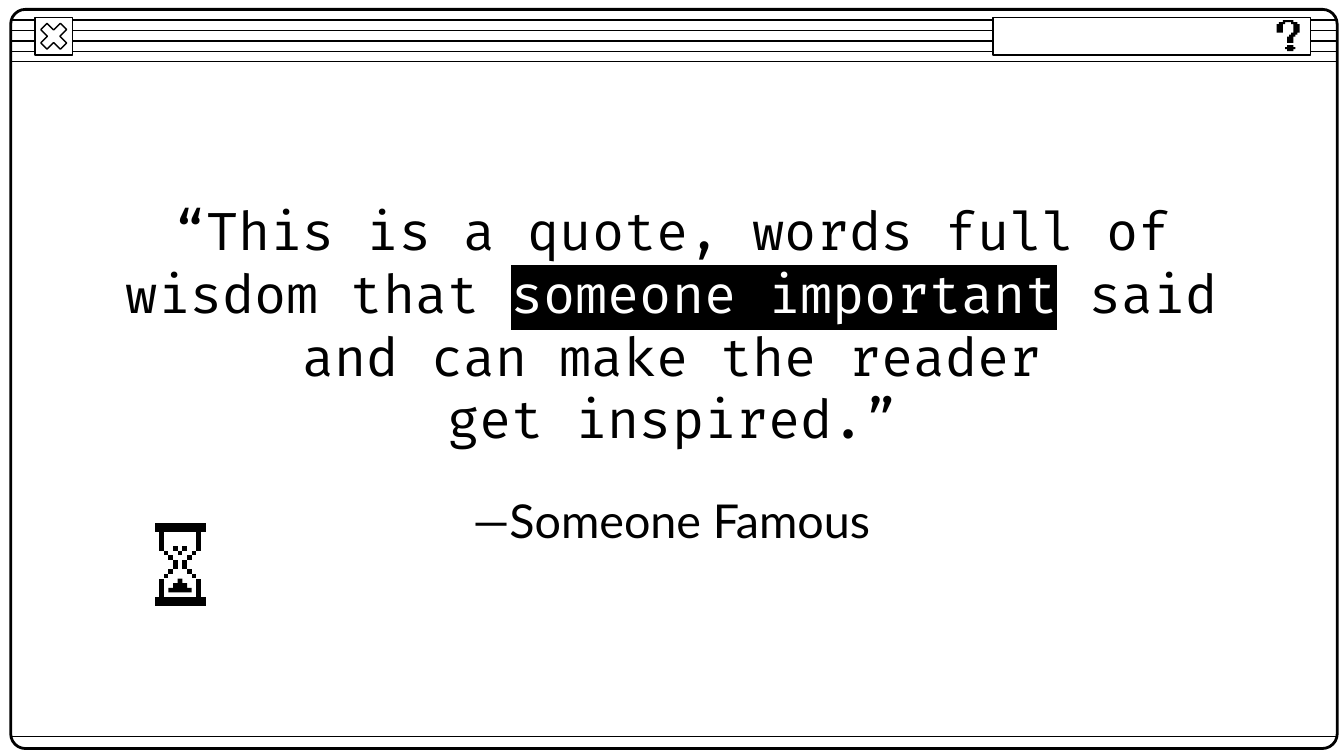
from lxml import etree
from pptx import Presentation
from pptx.dml.color import RGBColor
from pptx.enum import shapes, text
from pptx.oxml import ns
from pptx.util import Inches, Pt

BLACK = RGBColor(0, 0, 0)
WHITE = RGBColor(255, 255, 255)

deck = Presentation()
deck.slide_width, deck.slide_height = Inches(10), Inches(10 * 9 / 16)
page = deck.slides.add_slide(deck.slide_layouts[0])


def add_box(kind, left, top, width, height, line_width=0.75):
    box = page.shapes.add_shape(
        kind, Inches(left), Inches(top), Inches(width), Inches(height))
    box.shadow.inherit = False
    box.fill.solid()
    box.fill.fore_color.rgb = WHITE
    box.line.color.rgb = BLACK
    box.line.width = Pt(line_width)
    return box


def add_pixels(corners, left, top, cell, color=BLACK):
    """Fill the outline whose corners are (column, row) on a grid of square cells."""
    points = [(Inches(left + column * cell), Inches(top + row * cell))
              for column, row in corners]
    builder = page.shapes.build_freeform(*points[0])
    builder.add_line_segments(points[1:], close=True)
    outline = builder.convert_to_shape()
    outline.shadow.inherit = False
    outline.fill.solid()
    outline.fill.fore_color.rgb = color
    outline.line.fill.background()


# Window frame with title bar stripes and a bottom rule
frame = add_box(shapes.MSO_SHAPE.ROUNDED_RECTANGLE, 0.08, 0.07, 9.87, 5.5, 1.5)
frame.adjustments[0] = 0.02
frame.fill.background()

stripes = [0.15 + 0.31 * step / 4 for step in range(5)]
for y in stripes + [5.48]:
    rule = page.shapes.add_connector(
        shapes.MSO_CONNECTOR.STRAIGHT, Inches(0.08), Inches(y), Inches(9.95), Inches(y))
    rule.line.color.rgb = BLACK
    rule.line.width = Pt(0.75)
    etree.SubElement(rule._element.spPr, ns.qn("a:effectLst"))

# Title bar buttons
add_box(shapes.MSO_SHAPE.RECTANGLE, 0.26, 0.13, 0.28, 0.28)
cross = add_box(shapes.MSO_SHAPE.MATH_MULTIPLY, 0.26, 0.13, 0.28, 0.28)
cross.adjustments[0] = 0.235
add_box(shapes.MSO_SHAPE.RECTANGLE, 7.39, 0.13, 2.36, 0.28)

question_hook = [
    (3, 0), (3, 1), (1, 1), (1, 2), (0, 2), (0, 6), (3, 6), (3, 2), (4, 2), (4, 1),
    (7, 1), (7, 2), (8, 2), (8, 6), (7, 6), (7, 7), (6, 7), (6, 8), (5, 8), (5, 11),
    (8, 11), (8, 8), (9, 8), (9, 7), (10, 7), (10, 6), (11, 6), (11, 2), (10, 2),
    (10, 1), (8, 1), (8, 0)]
question_dot = [
    (5, 12), (5, 13), (4, 13), (4, 14), (5, 14), (5, 15),
    (8, 15), (8, 14), (9, 14), (9, 13), (8, 13), (8, 12)]
for corners in (question_hook, question_dot):
    add_pixels(corners, 9.5, 0.15, 0.17 / 11)

# Attribution and quote
attribution = page.shapes.title
attribution.text_frame.text = "—Someone Famous"
quote = page.placeholders[1]
quote.text_frame.text = "“This is a quote, words full of wisdom that "
opening = quote.text_frame.paragraphs[0]
emphasis = opening.add_run()
emphasis.text = "someone important"
opening.add_run().text = " said and can make the reader"
quote.text_frame.add_paragraph().text = "get inspired.”"

for box, place, font, size in (
        (attribution, (2.5, 3.58, 4.99, 0.58), "Lato", 25),
        (quote, (0.78, 1.46, 8.44, 1.9), "Fira Code", 28)):
    box.left, box.top, box.width, box.height = map(Inches, place)
    frame_text = box.text_frame
    frame_text.word_wrap = True
    frame_text.auto_size = text.MSO_AUTO_SIZE.NONE
    frame_text.vertical_anchor = text.MSO_ANCHOR.MIDDLE
    frame_text.margin_left = frame_text.margin_right = Inches(0.1)
    frame_text.margin_top = frame_text.margin_bottom = Inches(0.1)
    for para in frame_text.paragraphs:
        para.alignment = text.PP_ALIGN.CENTER
        para.space_before = Pt(0)
        for span in para.runs:
            span.font.name = font
            span.font.size = Pt(size)
            span.font.color.rgb = BLACK

emphasis.font.color.rgb = WHITE
highlight = etree.Element(ns.qn("a:highlight"))
etree.SubElement(highlight, ns.qn("a:srgbClr"), val=str(BLACK))
emphasis.font._element.find(ns.qn("a:solidFill")).addnext(highlight)

# Hourglass, symmetric on a grid of 11 columns and 18 rows
COLUMNS = 11
hourglass = {"left": 1.15, "top": 3.89, "cell": 0.38 / COLUMNS}
left_side = [
    (0, 0), (0, 2), (1, 2), (1, 6), (2, 6), (2, 7), (3, 7), (3, 8), (4, 8), (4, 10),
    (3, 10), (3, 11), (2, 11), (2, 12), (1, 12), (1, 16), (0, 16), (0, 18)]
sand_left = [(5, 12), (5, 13), (4, 13), (4, 14), (3, 14), (3, 15)]
for half, color in ((left_side, WHITE), (sand_left, BLACK)):
    mirrored = [(COLUMNS - column, row) for column, row in reversed(half)]
    add_pixels(half + mirrored, color=color, **hourglass)

# Blocks as column, row, width, height
caps_and_grain = [(0, 0, 11, 2), (0, 16, 11, 2), (5, 6, 1, 1)]
left_blocks = [(1, 2, 1, 4), (1, 12, 1, 4)] + [
    (column, row, 1, 1) for column, row in
    ((2, 6), (3, 7), (4, 8), (4, 9), (3, 10), (2, 11), (4, 5))]
right_blocks = [(COLUMNS - column - width, row, width, height)
                for column, row, width, height in left_blocks]
for column, row, width, height in caps_and_grain + left_blocks + right_blocks:
    right, bottom = column + width, row + height
    add_pixels([(column, row), (column, bottom), (right, bottom), (right, row)], **hourglass)

deck.save("out.pptx")
